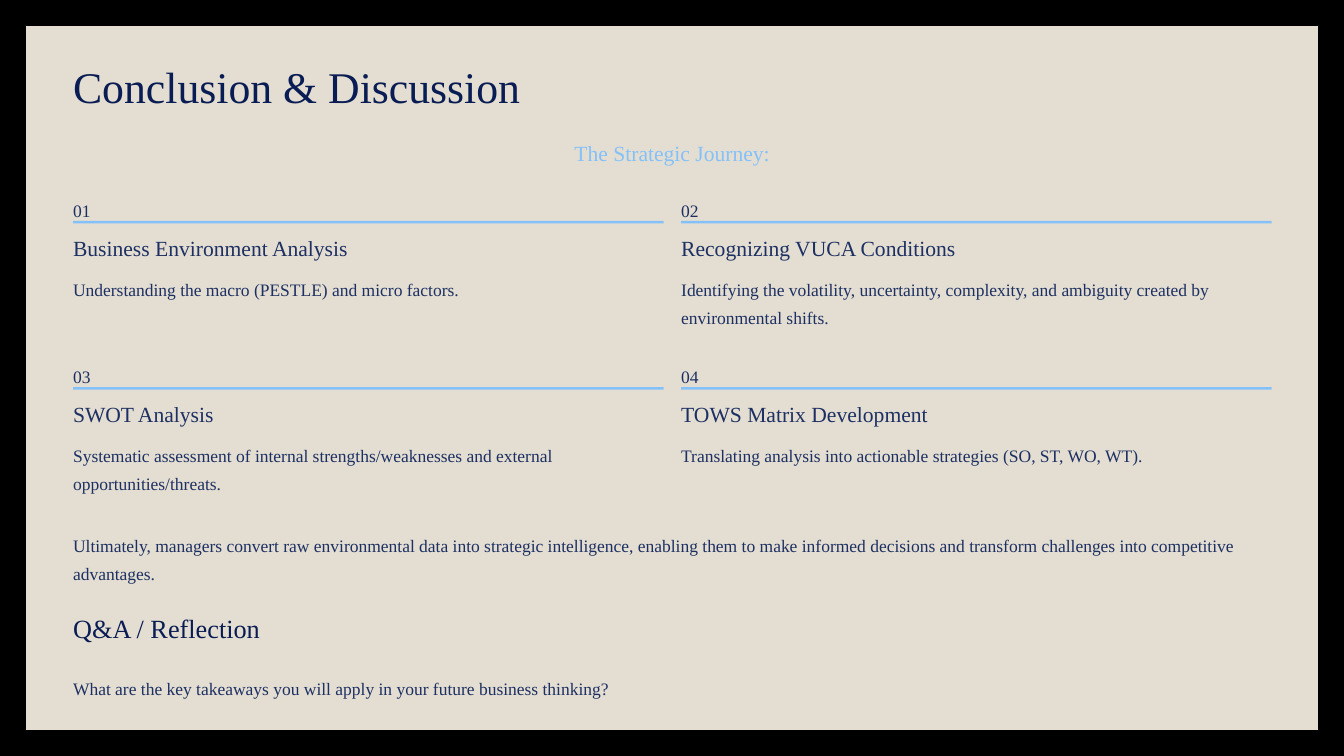
from pptx import Presentation
from pptx.dml.color import RGBColor
from pptx.enum.shapes import MSO_SHAPE
from pptx.enum.text import MSO_ANCHOR, MSO_AUTO_SIZE, PP_ALIGN
from pptx.util import Inches, Pt

RECT = MSO_SHAPE.RECTANGLE
LEFT, MID = PP_ALIGN.LEFT, PP_ALIGN.CENTER
TOP, FIXED = MSO_ANCHOR.TOP, MSO_AUTO_SIZE.NONE
FONT = "Times New Roman"
HEX = {"edge": "000000", "panel": "E3DED1", "navy": "091C53",
       "ink": "1E3063", "sky": "84C1FA"}
STYLES = {
    "title": (37.5, 47, "navy"),
    "lead": (18.5, 23.5, "sky"),
    "head": (18.5, 23.5, "ink"),
    "body": (15, 24, "ink"),
    "close": (22.5, 28, "navy"),
}
MARGIN, WIDE = 0.87, 14.27
COL_W, COL_STEP = 7.03, 7.24
ROW_TOP, ROW_STEP = 2.3, 1.98
STEPS = [
    ("Business Environment Analysis", 3.84,
     "Understanding the macro (PESTLE) and micro factors.", 1),
    ("Recognizing VUCA Conditions", 3.75,
     "Identifying the volatility, uncertainty, complexity, and ambiguity "
     "created by environmental shifts.", 2),
    ("SWOT Analysis", 2.63,
     "Systematic assessment of internal strengths/weaknesses and external "
     "opportunities/threats.", 2),
    ("TOWS Matrix Development", 3.38,
     "Translating analysis into actionable strategies (SO, ST, WO, WT).", 1),
]


def color(name):
    """Return the named colour."""
    return RGBColor.from_string(HEX[name])


def assign(obj, values):
    """Set attributes from a dict of format values."""
    for name, value in values.items():
        setattr(obj, name, value)


def place(shape, box):
    """Move and size a shape in inches."""
    names = ("left", "top", "width", "height")
    assign(shape, dict(zip(names, map(Inches, box))))


def write(shape, text, style, wrap=False, align=LEFT):
    """Fill a shape with one styled paragraph."""
    size, line, tint = STYLES[style]
    frame = shape.text_frame
    frame.text = text
    assign(frame, {"margin_left": 0, "margin_top": 0, "margin_right": 0,
                   "margin_bottom": 0, "word_wrap": wrap,
                   "auto_size": FIXED, "vertical_anchor": TOP})
    para = frame.paragraphs[0]
    assign(para, {"alignment": align, "line_spacing": Pt(line)})
    font = para.runs[0].font
    assign(font, {"name": FONT, "size": Pt(size)})
    font.color.rgb = color(tint)


def label(slide, box, text, style, wrap=False, align=LEFT):
    """Add a text box."""
    shape = slide.shapes.add_textbox(*map(Inches, box))
    write(shape, text, style, wrap, align)


def block(slide, box, tint):
    """Add a plain filled rectangle."""
    shape = slide.shapes.add_shape(RECT, *map(Inches, box))
    shape.shadow.inherit = False
    shape.fill.solid()
    shape.fill.fore_color.rgb = color(tint)
    shape.line.fill.background()
    return shape


def step(slide, index, head, width, body, lines):
    """Add one numbered step of the two-column grid."""
    row, col = divmod(index, 2)
    x = MARGIN + col * COL_STEP
    y = ROW_TOP + row * ROW_STEP
    label(slide, (x, y, 0.21, 0.26), f"{index + 1:02}", "body")
    block(slide, (x, y + 0.33, COL_W, 0.03), "sky")
    label(slide, (x, y + 0.48, width, 0.33), head, "head")
    label(slide, (x, y + 0.94, COL_W, lines * 0.335), body, "body", lines > 1)


def main():
    """Build and save the slide."""
    deck = Presentation()
    assign(deck, {"slide_width": Inches(16), "slide_height": Inches(9)})
    slide = deck.slides.add_slide(deck.slide_layouts[5])
    slide.background.fill.solid()
    slide.background.fill.fore_color.rgb = color("edge")

    title = slide.shapes.title
    panel = block(slide, (0.31, 0.31, 15.38, 8.38), "panel")
    title.element.addprevious(panel.element)
    place(title, (MARGIN, 0.68, 6.1, 0.66))
    write(title, "Conclusion & Discussion", "title")
    label(slide, (6.61, 1.65, 2.78, 0.33), "The Strategic Journey:",
          "lead", align=MID)

    for index, item in enumerate(STEPS):
        step(slide, index, *item)

    label(slide, (MARGIN, 6.29, WIDE, 0.67),
          "Ultimately, managers convert raw environmental data into strategic "
          "intelligence, enabling them to make informed decisions and "
          "transform challenges into competitive advantages.", "body", True)
    label(slide, (MARGIN, 7.28, 3.15, 0.39), "Q&A / Reflection", "close")
    label(slide, (MARGIN, 7.99, WIDE, 0.34),
          "What are the key takeaways you will apply in your future business "
          "thinking?", "body")
    deck.save("out.pptx")


if __name__ == "__main__":
    main()
